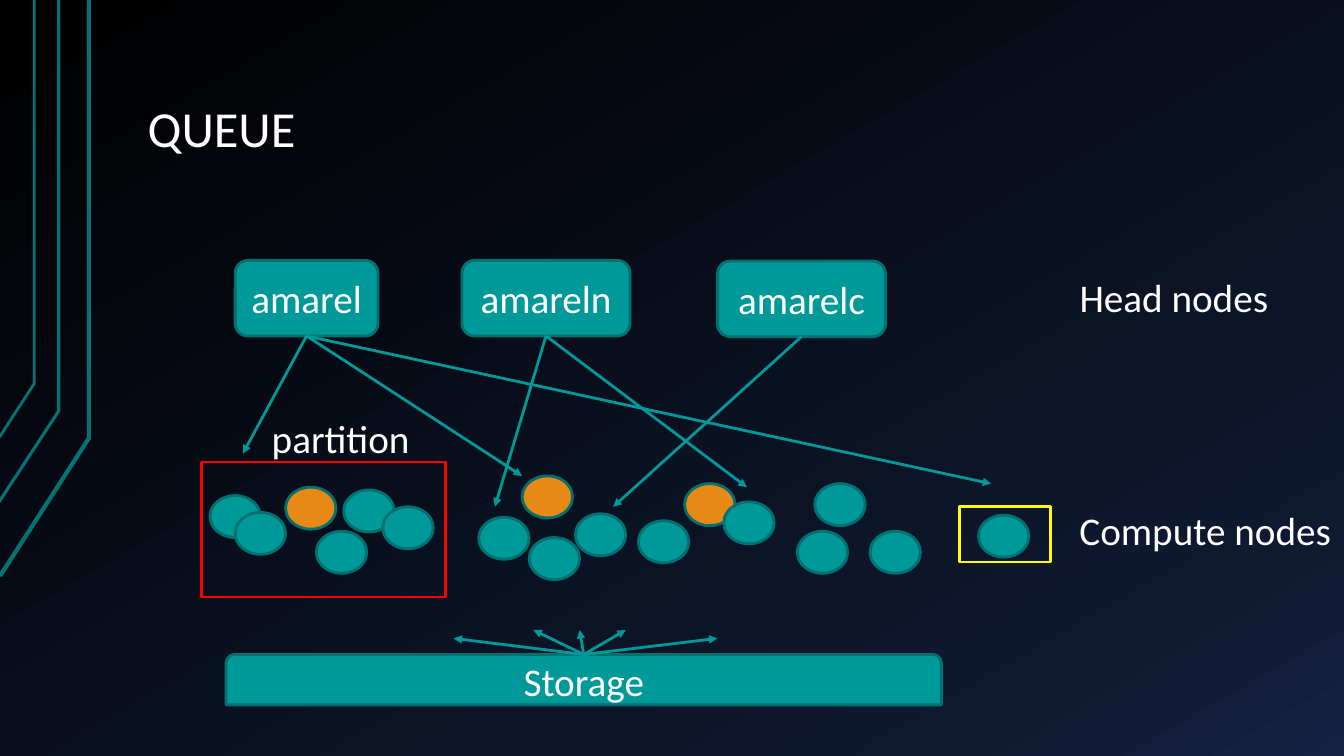
import copy

import pptx
import pptx.dml.color
import pptx.enum.shapes
import pptx.enum.text
import pptx.oxml
import pptx.oxml.ns
import pptx.util

Pt = pptx.util.Pt
SHAPES = pptx.enum.shapes.MSO_SHAPE
ANCHOR = pptx.enum.text.MSO_ANCHOR
ALIGN = pptx.enum.text.PP_ALIGN
AUTO_SIZE = pptx.enum.text.MSO_AUTO_SIZE

TEAL, DARK_TEAL, RAIL_TEAL = "009999", "007171", "007373"
ORANGE, RED, YELLOW, WHITE = "E98915", "FF0000", "FFFF00", "FFFFFF"

BACKGROUND_STOPS = [(0, "000000"), (0.85, "0F1931"), (1, "142242")]

# Each rail runs from the left edge up to a bend, then to the top.
RAILS = [
    ([(0, 411.5), (63.5, 313), (63.5, 0)], 3),
    ([(-1, 359), (42, 293.5), (42, 0)], 2.25),
    ([(-0.5, 312.5), (24.5, 274), (24.5, 0)], 2),
]

# Name, box and the points its arrows lead to.
HEAD_NODES = [
    ("amarel", (168, 186, 102, 54), [(173.5, 324), (373, 340), (708, 345.5)]),
    ("amareln", (330, 186, 120, 54), [(533.5, 348), (353.5, 362)]),
    ("amarelc", (512.5, 186.5, 120, 54), [(438, 362)]),
]

NODE_SIZE = (36, 30)
COMPUTE_NODES = [
    (150, 354, TEAL), (168, 366, TEAL), (204, 348, ORANGE),
    (245.5, 350, TEAL), (226, 379.5, TEAL), (342, 369.5, TEAL),
    (273.5, 362, TEAL), (456, 372, TEAL), (411, 367, TEAL),
    (373, 340, ORANGE), (378, 384, TEAL), (569.5, 379.5, TEAL),
    (489, 345.5, ORANGE), (517, 358.5, TEAL), (699, 368, TEAL),
    (582, 345.5, TEAL), (621.5, 379.5, TEAL),
]

STORAGE_BOX = (161.5, 467.5, 511, 36)
STORAGE_TARGETS = [
    (324, 456), (381, 450), (447, 450), (414, 450), (512.5, 456),
]

LABELS = [
    ("Head nodes", (764, 192, 151, 41)),
    ("Compute nodes", (764, 358, 196, 41)),
    ("partition", (187, 292.5, 114.5, 41)),
]


def color(value):
    return pptx.dml.color.RGBColor.from_string(value)


def in_points(values):
    return [Pt(value) for value in values]


def apply_format(target, values):
    for name, value in values.items():
        setattr(target, name, value)


def set_line(line, value, width):
    line.color.rgb = color(value)
    line.width = Pt(width)


def write_text(shape, text, size, align, frame_format):
    frame = shape.text_frame
    frame.text = text
    apply_format(frame, frame_format)
    paragraph = frame.paragraphs[0]
    paragraph.alignment = align
    font = paragraph.runs[0].font
    apply_format(font, {"name": "Calibri", "size": Pt(size)})
    font.color.rgb = color(WHITE)
    return paragraph


def paint_background(slide):
    fill = slide.background.fill
    fill.gradient()
    fill.gradient_angle = 300
    stop_list = slide.element.find(".//" + pptx.oxml.ns.qn("a:gsLst"))
    stop_list.append(copy.deepcopy(stop_list[0]))
    for stop, (position, value) in zip(fill.gradient_stops, BACKGROUND_STOPS):
        stop.position = position
        stop.color.rgb = color(value)


def add_rail(slide, points, width):
    start, *others = [in_points(point) for point in points]
    builder = slide.shapes.build_freeform(*start)
    builder.add_line_segments(others, close=False)
    rail = builder.convert_to_shape()
    rail.shadow.inherit = False
    rail.fill.background()
    set_line(rail.line, RAIL_TEAL, width)


def set_title(slide, text):
    title = slide.shapes.title
    box = dict(zip(("left", "top", "width", "height"),
                   in_points((96, 21.5, 816, 96.5))))
    apply_format(title, box)
    paragraph = write_text(title, text, 36, ALIGN.LEFT, {
        "vertical_anchor": ANCHOR.BOTTOM, "word_wrap": True,
        "margin_left": Pt(9.5), "margin_right": Pt(9.5),
        "margin_top": Pt(5), "margin_bottom": Pt(5),
    })
    paragraph.line_spacing = 0.9


def add_shape(slide, kind, box, fill, line, text=None):
    """Add a preset shape; without a fill it is only an outline."""
    shape = slide.shapes.add_shape(kind, *in_points(box))
    shape.shadow.inherit = False
    if fill:
        shape.fill.solid()
        shape.fill.fore_color.rgb = color(fill)
    else:
        shape.fill.background()
    set_line(shape.line, line, 2)
    if text:
        write_text(shape, text, 28, ALIGN.CENTER,
                   {"vertical_anchor": ANCHOR.MIDDLE, "word_wrap": True})
    return shape


def add_arrow(slide, start, end):
    arrow = slide.shapes.add_connector(
        pptx.enum.shapes.MSO_CONNECTOR.STRAIGHT, *in_points((*start, *end)))
    set_line(arrow.line, TEAL, 2)
    properties = arrow.element.spPr
    head = pptx.oxml.parse_xml(
        f'<a:tailEnd {pptx.oxml.ns.nsdecls("a")} type="triangle"/>')
    properties.find(pptx.oxml.ns.qn("a:ln")).append(head)
    properties.append(pptx.oxml.parse_xml(
        f'<a:effectLst {pptx.oxml.ns.nsdecls("a")}/>'))
    return arrow


def add_label(slide, text, box):
    label = slide.shapes.add_textbox(*in_points(box))
    write_text(label, text, 28, ALIGN.LEFT, {
        "word_wrap": False, "auto_size": AUTO_SIZE.SHAPE_TO_FIT_TEXT})


def main():
    presentation = pptx.Presentation()
    apply_format(presentation,
                 {"slide_width": Pt(960), "slide_height": Pt(540)})
    slide = presentation.slides.add_slide(presentation.slide_layouts[5])

    paint_background(slide)
    for points, width in RAILS:
        add_rail(slide, points, width)
    set_title(slide, "QUEUE")

    for left, top, fill in COMPUTE_NODES:
        add_shape(slide, SHAPES.OVAL, (left, top, *NODE_SIZE), fill, DARK_TEAL)
    add_shape(slide, SHAPES.RECTANGLE, (685.5, 362, 65, 39.5), None, YELLOW)

    for name, box, targets in HEAD_NODES:
        head_node = add_shape(slide, SHAPES.ROUNDED_RECTANGLE, box,
                              TEAL, DARK_TEAL, name)
        left, top, width, height = box
        for target in targets:
            arrow = add_arrow(slide, (left + width / 2, top + height), target)
            arrow.begin_connect(head_node, 2)

    add_shape(slide, SHAPES.ROUND_2_SAME_RECTANGLE, STORAGE_BOX,
              TEAL, DARK_TEAL, "Storage")
    left, top, width, _ = STORAGE_BOX
    for target in STORAGE_TARGETS:
        add_arrow(slide, (left + width / 2, top), target)

    add_shape(slide, SHAPES.RECTANGLE, (144, 330, 174, 96.5), None, RED)
    for text, box in LABELS:
        add_label(slide, text, box)

    presentation.save("out.pptx")


if __name__ == "__main__":
    main()
